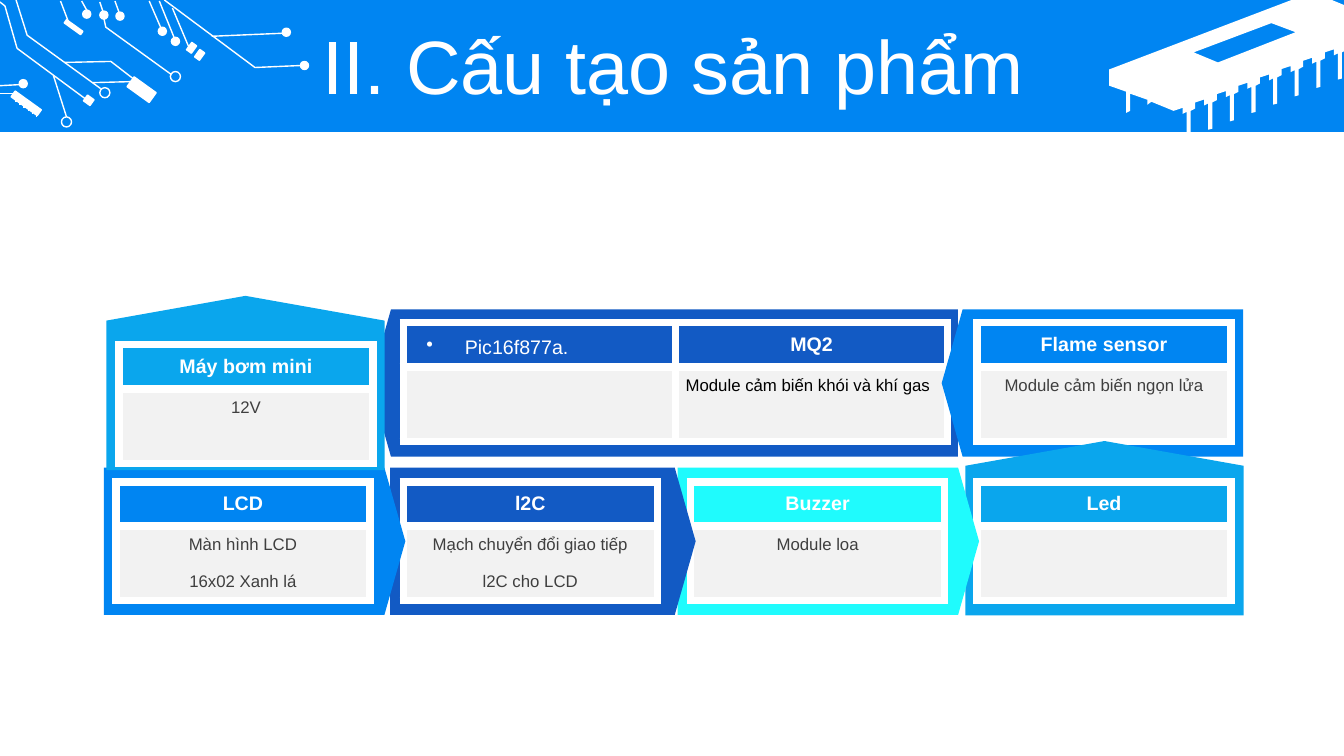
from dataclasses import dataclass

from lxml import etree
from pptx import Presentation
from pptx import util as u
from pptx.dml.color import RGBColor
from pptx.enum import shapes, text
from pptx.oxml import ns

WHITE = RGBColor(0xFF, 0xFF, 0xFF)
BLACK = RGBColor(0, 0, 0)
BODY = RGBColor(0x3F, 0x3F, 0x3F)
PALE = RGBColor(0xF2, 0xF2, 0xF2)
BLUE = RGBColor(0x00, 0x85, 0xF2)
NAVY = RGBColor(0x12, 0x5A, 0xC4)
SKY = RGBColor(0x0A, 0xA6, 0xED)
CYAN = RGBColor(0x1F, 0xFB, 0xFD)

FONT = "Arial"
CIRCUIT_TURN = 35.7
ARROW_POINT = 0.142
ROW_HEIGHTS = (0.44, 0.37, 0.37)

Point = tuple[float, float]
Frame = tuple[float, float, float, float]


@dataclass
class Device:
    name: str
    details: tuple[str, ...] = ()
    bulleted: bool = False
    detail_color: RGBColor = BODY
    detail_align: text.PP_ALIGN = text.PP_ALIGN.CENTER


@dataclass
class Panel:
    arrow: Frame
    turn: int
    corner: Point
    color: RGBColor
    devices: tuple[Device, ...]
    column_width: float = 2.52


PANELS = (
    Panel((3.67, 3.07, 5.83, 1.46), 180, (4, 3.2), NAVY,
          (Device("Pic16f877a.", bulleted=True),
           Device("MQ2", ("Module cảm biến khói và khí gas",),
                  detail_color=BLACK, detail_align=text.PP_ALIGN.LEFT)), 2.7),
    Panel((9.34, 3.07, 2.99, 1.46), 180, (9.69, 3.2), BLUE,
          (Device("Flame sensor", ("Module cảm biến ngọn lửa",)),)),
    Panel((10.09, 3.86, 1.73, 2.76), 270, (9.69, 4.78), SKY, (Device("Led"),)),
    Panel((6.72, 4.64, 2.99, 1.46), 0, (6.85, 4.78), CYAN,
          (Device("Buzzer", ("Module loa",)),)),
    Panel((3.87, 4.64, 3.03, 1.46), 0, (4, 4.78), NAVY,
          (Device("l2C", ("Mạch chuyển đổi giao tiếp", "l2C cho LCD")),)),
    Panel((1.03, 4.64, 2.99, 1.46), 0, (1.15, 4.78), BLUE,
          (Device("LCD", ("Màn hình LCD", "16x02 Xanh lá")),)),
    Panel((1.57, 2.42, 1.73, 2.76), 270, (1.18, 3.42), SKY,
          (Device("Máy bơm mini", ("12V",)),)),
)

COMPONENTS: tuple[Frame, ...] = (
    (1.27, 0.83, 0.27, 0.12), (0.63, 0.25, 0.2, 0.04), (0.84, 0.96, 0.08, 0.07),
    (1.87, 0.43, 0.06, 0.09), (1.95, 0.5, 0.06, 0.09), (0.1, 0.99, 0.32, 0.07))
DOTS: tuple[Point, ...] = (
    (2.98, 0.61), (2.8, 0.28), (0.82, 0.1), (0.99, 0.11), (1.15, 0.12),
    (0.19, 0.79), (1.7, 0.37), (1.57, 0.27))
RINGS: tuple[Point, ...] = ((1.69, 0.71), (0.99, 0.87), (0.61, 1.16))
PINS = [((0.16 + 0.04 * i, 1.01 + 0.03 * i), (0.16 + 0.04 * i, 0.9 + 0.03 * i))
        for i in range(6)]
WIRES: list[tuple[Point, Point]] = [
    ((0.6, 0.01), (0.68, 0.22)), ((0.81, 0.01), (0.86, 0.1)),
    ((0.99, 0.02), (1.02, 0.11)), ((1.14, 0.01), (1.18, 0.12)),
    ((1.48, 0.01), (1.61, 0.31)), ((1.58, 0.01), (1.73, 0.38)),
    ((2.1, 0.36), (2.8, 0.33)), ((1.71, 0.08), (1.87, 0.46)),
    ((0, 0.85), (0.19, 0.84)), ((0, 0.93), (0.14, 0.93)),
    ((0.53, 0.75), (0.66, 1.16)), ((0.92, 0.82), (1.3, 0.81)), *PINS]
TRACES: tuple[list[Point], ...] = (
    [(1.63, 0), (2.53, 0.67), (2.99, 0.65)],
    [(0.16, 0), (0.27, 0.35), (1, 0.88)],
    [(0, 0.02), (0.05, 0.06), (0.17, 0.48), (0.86, 0.99)],
    [(0.64, 0.62), (1.1, 0.61), (1.32, 0.78)],
    [(1.03, 0.18), (1.05, 0.27), (1.7, 0.74)])

LEG: tuple[Point, ...] = (
    (0, 0), (0, 0.26), (-0.04, 0.27), (-0.04, 0.01),
    (-0.08, 0.03), (-0.08, -0.03), (-0.17, 0), (-0.17, 0.06))
LEG_COUNT = 8
LEG_STEP_X = (11.81 - 13.31) / (LEG_COUNT - 1)
LEG_STEP_Y = (1.1 - 0.52) / (LEG_COUNT - 1)
CHIP_LEGS = [(13.31 + LEG_STEP_X * i + dx, 0.52 + LEG_STEP_Y * i + dy)
             for i in range(LEG_COUNT) for dx, dy in LEG][:-1]
CHIP_BODY = [(12.81, 0), (13.21, 0), (13.33, 0.05), (13.33, 0.51), *CHIP_LEGS,
             (11.42, 1.01), (11.38, 1.04), (11.38, 0.99), (11.21, 0.93),
             (11.21, 1.1), (11.17, 1.12), (11.17, 0.91), (11, 0.85), (11, 0.69)]
CHIP_WINDOW = [(12.61, 0.23), (11.84, 0.52), (12.08, 0.62), (12.85, 0.32)]


def inches(values) -> list[u.Length]:
    return [u.Inches(value) for value in values]


def add_solid(slide, kind, frame: Frame, color: RGBColor, turn: float = 0):
    solid = slide.shapes.add_shape(kind, *inches(frame))
    solid.shadow.inherit = False
    solid.fill.solid()
    solid.fill.fore_color.rgb = color
    solid.line.fill.background()
    solid.rotation = turn
    return solid


def draw_white(line) -> None:
    line.color.rgb = WHITE
    line.width = u.Pt(1)


def add_outline(slide, contours: list[list[Point]], close: bool):
    (first, *rest), *others = [[inches(p) for p in contour] for contour in contours]
    builder = slide.shapes.build_freeform(*first)
    builder.add_line_segments(rest, close=close)
    for start, *following in others:
        builder.move_to(*start)
        builder.add_line_segments(following, close=close)
    outline = builder.convert_to_shape()
    outline.shadow.inherit = False
    return outline


def add_chip(slide) -> None:
    chip = add_outline(slide, [CHIP_WINDOW, CHIP_BODY], close=True)
    chip.fill.solid()
    chip.fill.fore_color.rgb = WHITE
    chip.line.fill.background()


def add_circuit(slide) -> None:
    kind = shapes.MSO_SHAPE
    for frame in COMPONENTS:
        draw_white(add_solid(slide, kind.RECTANGLE, frame, WHITE, CIRCUIT_TURN).line)
    for dot in DOTS:
        draw_white(add_solid(slide, kind.OVAL, (*dot, 0.08, 0.08), WHITE).line)
    for position in RINGS:
        ring = add_solid(slide, kind.OVAL, (*position, 0.1, 0.1), WHITE)
        ring.fill.background()
        draw_white(ring.line)
    for start, end in WIRES:
        wire = slide.shapes.add_connector(
            shapes.MSO_CONNECTOR.STRAIGHT, *inches(start + end))
        draw_white(wire.line)
        etree.SubElement(wire.element.spPr, ns.qn("a:effectLst"))
    for points in TRACES:
        trace = add_outline(slide, [points], close=False)
        trace.fill.background()
        draw_white(trace.line)


def set_borders(cell, hidden: str) -> None:
    properties = cell._tc.get_or_add_tcPr()
    for index, side in enumerate("LRTB"):
        border = etree.Element(ns.qn(f"a:ln{side}"), w=str(u.Pt(6)))
        if side == hidden:
            etree.SubElement(border, ns.qn("a:noFill"))
        else:
            fill = etree.SubElement(border, ns.qn("a:solidFill"))
            etree.SubElement(fill, ns.qn("a:srgbClr"), val=str(WHITE))
        properties.insert(index, border)


def add_bullet(paragraph) -> None:
    properties = paragraph._p.get_or_add_pPr()
    properties.set("marL", str(u.Inches(0.51)))
    properties.set("indent", str(u.Inches(-0.38)))
    etree.SubElement(properties, ns.qn("a:buChar"), char="•")


def fill_cell(cell, words: str, device: Device, row: int, color: RGBColor) -> None:
    heading = row == 0
    cell.fill.solid()
    cell.fill.fore_color.rgb = color if heading else PALE
    set_borders(cell, ("", "B", "T")[row])
    cell.vertical_anchor = text.MSO_ANCHOR.MIDDLE
    paragraph = cell.text_frame.paragraphs[0]
    if not words:
        etree.SubElement(paragraph._p, ns.qn("a:endParaRPr"), sz="1200")
        return
    paragraph.text = words
    if heading and device.bulleted:
        paragraph.line_spacing = 1.23
        add_bullet(paragraph)
    else:
        paragraph.alignment = text.PP_ALIGN.CENTER if heading else device.detail_align
    font = paragraph.font
    font.name = FONT
    font.size = u.Pt(14 if heading else 12)
    font.bold = heading and not device.bulleted
    font.color.rgb = WHITE if heading else device.detail_color


def add_panel(slide, panel: Panel) -> None:
    arrow = add_solid(slide, shapes.MSO_SHAPE.PENTAGON, panel.arrow, panel.color, panel.turn)
    arrow.adjustments[0] = ARROW_POINT
    size = (panel.column_width * len(panel.devices), sum(ROW_HEIGHTS))
    table = slide.shapes.add_table(
        len(ROW_HEIGHTS), len(panel.devices), *inches(panel.corner + size)).table
    table.first_row = table.horz_banding = False
    for row, height in zip(table.rows, ROW_HEIGHTS):
        row.height = u.Inches(height)
    for column, device in enumerate(panel.devices):
        lines = (device.name, *device.details, "", "")[:len(ROW_HEIGHTS)]
        for row, words in enumerate(lines):
            fill_cell(table.cell(row, column), words, device, row, panel.color)


def add_title(slide, banner) -> None:
    title = slide.shapes.title
    title.left, title.top, title.width, title.height = inches((0.35, 0.3, 12.66, 0.79))
    frame = title.text_frame
    frame.text = "II. Cấu tạo sản phẩm"
    frame.auto_size = text.MSO_AUTO_SIZE.NONE
    frame.vertical_anchor = text.MSO_ANCHOR.MIDDLE
    heading = frame.paragraphs[0]
    heading.alignment = text.PP_ALIGN.CENTER
    heading.line_spacing = 0.9
    heading.font.name = FONT
    heading.font.size = u.Pt(54)
    heading.font.color.rgb = WHITE
    banner.element.addnext(title.element)


def main() -> None:
    deck = Presentation()
    deck.slide_width, deck.slide_height = inches((13.33, 7.5))
    slide = deck.slides.add_slide(deck.slide_layouts.get_by_name("Title Only"))
    banner = add_solid(slide, shapes.MSO_SHAPE.RECTANGLE, (0, 0, 13.33, 1.31), BLUE)
    add_title(slide, banner)
    add_chip(slide)
    add_circuit(slide)
    for panel in PANELS:
        add_panel(slide, panel)
    deck.save("out.pptx")


if __name__ == "__main__":
    main()
